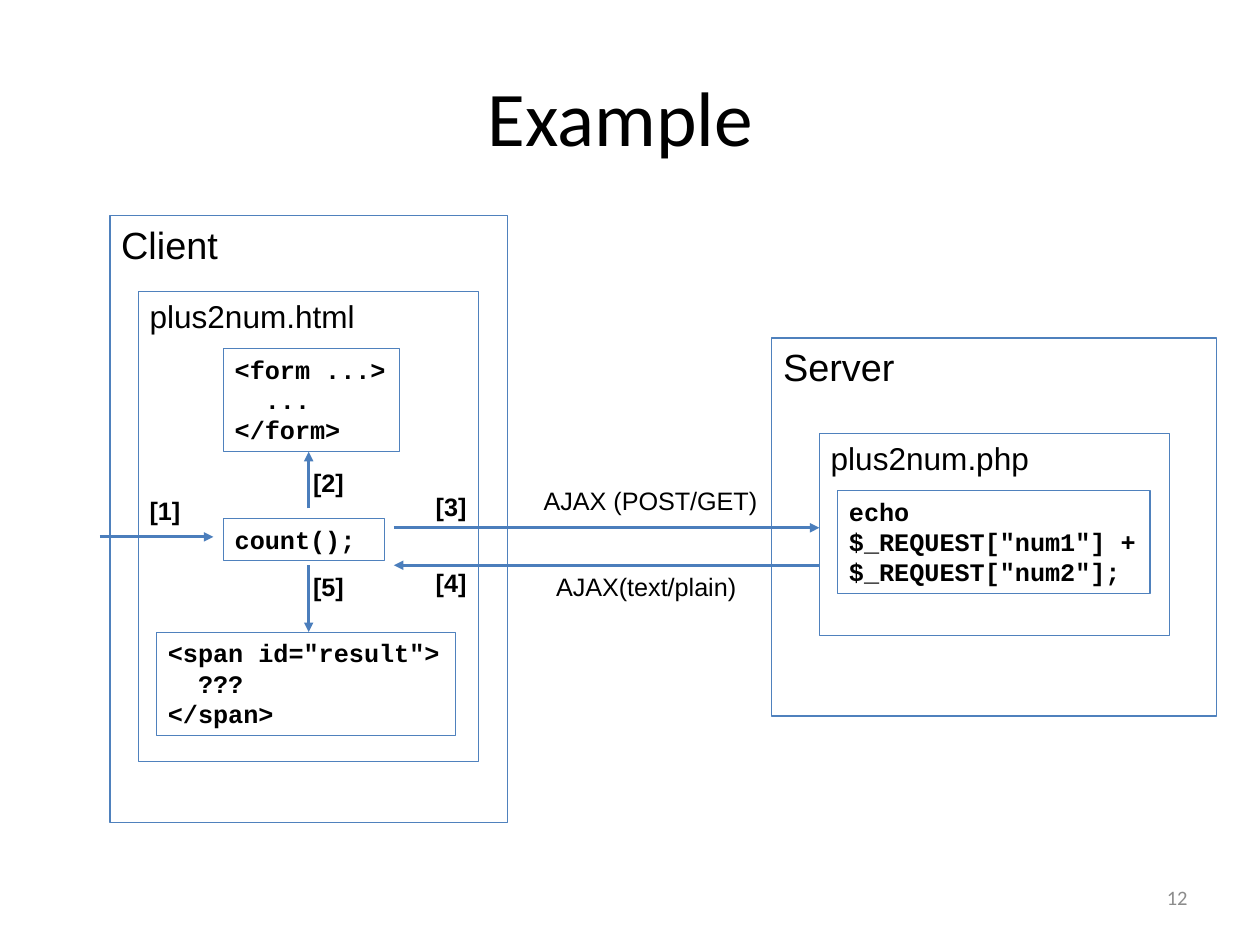
from lxml import etree
from pptx import Presentation
from pptx.dml.color import RGBColor
from pptx.enum.shapes import MSO_CONNECTOR, MSO_SHAPE
from pptx.enum.text import MSO_ANCHOR, PP_ALIGN
from pptx.oxml.ns import qn
from pptx.util import Pt

BLACK = RGBColor(0x00, 0x00, 0x00)
GREY = RGBColor(0x8C, 0x8C, 0x8C)
BORDER = RGBColor(0x4F, 0x81, 0xBD)
ARROW = RGBColor(0x4B, 0x7E, 0xBC)
SANS, HEADING, CODE = "Arial", "Calibri", "Courier New"
LEFT, CENTER, RIGHT = PP_ALIGN.LEFT, PP_ALIGN.CENTER, PP_ALIGN.RIGHT
TOP, MIDDLE = MSO_ANCHOR.TOP, MSO_ANCHOR.MIDDLE
RECTANGLE, STRAIGHT = MSO_SHAPE.RECTANGLE, MSO_CONNECTOR.STRAIGHT


class Diagram:
    """Draws styled elements on one slide; all lengths are in points."""

    def __init__(self, slide):
        """Keep the slide to draw on."""
        self.shapes = slide.shapes

    def set_text(self, shape, text, size, font, bold=False, color=BLACK,
                 align=LEFT, anchor=TOP, wrap=True):
        """Fill a shape with uniformly formatted text."""
        frame = shape.text_frame
        frame.text = text
        frame.word_wrap = wrap
        frame.vertical_anchor = anchor
        for paragraph in frame.paragraphs:
            paragraph.alignment = align
            for run in paragraph.runs:
                run.font.size = Pt(size)
                run.font.name = font
                run.font.bold = bold
                run.font.color.rgb = color

    def box(self, bounds, text, size, font=SANS, **style):
        """Add an outlined rectangle with text at its top left."""
        shape = self.shapes.add_shape(RECTANGLE, *map(Pt, bounds))
        shape.shadow.inherit = False
        shape.fill.background()
        shape.line.color.rgb = BORDER
        shape.line.width = Pt(0.75)
        self.set_text(shape, text, size, font, **style)

    def code(self, bounds, text, wrap=True):
        """Add a box of bold source code."""
        self.box(bounds, text, 16, CODE, bold=True, wrap=wrap)

    def text(self, bounds, text, size, font=SANS, **style):
        """Add text without a frame."""
        self.set_text(self.shapes.add_textbox(*map(Pt, bounds)), text, size, font, **style)

    def label(self, left, top, width, text, bold=False):
        """Add a one-line label beside an arrow."""
        self.text((left, top, width, 26.6), text, 16, bold=bold, wrap=False)

    def arrow(self, *ends):
        """Add an arrow from (x1, y1) to (x2, y2)."""
        connector = self.shapes.add_connector(STRAIGHT, *map(Pt, ends))
        connector.line.color.rgb = ARROW
        connector.line.width = Pt(2)
        properties = connector.element.spPr
        etree.SubElement(properties.find(qn("a:ln")), qn("a:tailEnd"), type="triangle")
        etree.SubElement(properties, qn("a:effectLst"))


presentation = Presentation()
presentation.slide_width = Pt(799.2)
presentation.slide_height = Pt(597.6)
diagram = Diagram(presentation.slides.add_slide(presentation.slide_layouts[6]))

diagram.text((34, 24, 719, 99), "Example", 49, HEADING, align=CENTER, anchor=MIDDLE)

# Machines and the files they hold
diagram.box((489.6, 214.5, 282.2, 239.8), "Server", 24)
diagram.box((69.8, 136.8, 252, 385.2), "Client", 24)
diagram.box((87.8, 185, 216, 298), "plus2num.html", 20)
diagram.box((519.8, 275, 221.8, 128.2), "plus2num.php", 20)

# Code fragments
CODE_HEIGHT = 65.5
diagram.code((141.8, 329, 102.2, 26.6), "count();")
diagram.code((99.4, 401, 189.4, CODE_HEIGHT),
             '<span id="result">\n  ???\n</span>', wrap=False)
diagram.code((531.4, 311, 198, CODE_HEIGHT),
             'echo $_REQUEST["num1"] + $_REQUEST["num2"];')
diagram.code((141.8, 221, 111.6, CODE_HEIGHT),
             "<form ...>\n  ...\n</form>", wrap=False)

# Call sequence: arrow ends and the place of each step number
STEPS = [
    ((63.4, 340.6, 135.4, 340.6), (87.8, 311)),
    ((195.8, 322.6, 195.8, 286.6), (191.5, 293)),
    ((249.8, 334.8, 519.8, 334.8), (269.3, 308.2)),
    ((519.8, 358.6, 249.8, 358.6), (269.3, 356.4)),
    ((195.8, 358.6, 195.8, 401), (191.5, 358.6)),
]
for number, (ends, place) in enumerate(STEPS, 1):
    diagram.arrow(*ends)
    diagram.label(*place, 34.6, f"[{number}]", bold=True)

diagram.label(337.7, 304.6, 151.9, "AJAX (POST/GET)")
diagram.label(345.6, 358.6, 130.3, "AJAX(text/plain)")
diagram.text((573.1, 553.7, 187.2, 31.7), "12", 13, HEADING,
             color=GREY, align=RIGHT, anchor=MIDDLE)

presentation.save("out.pptx")
